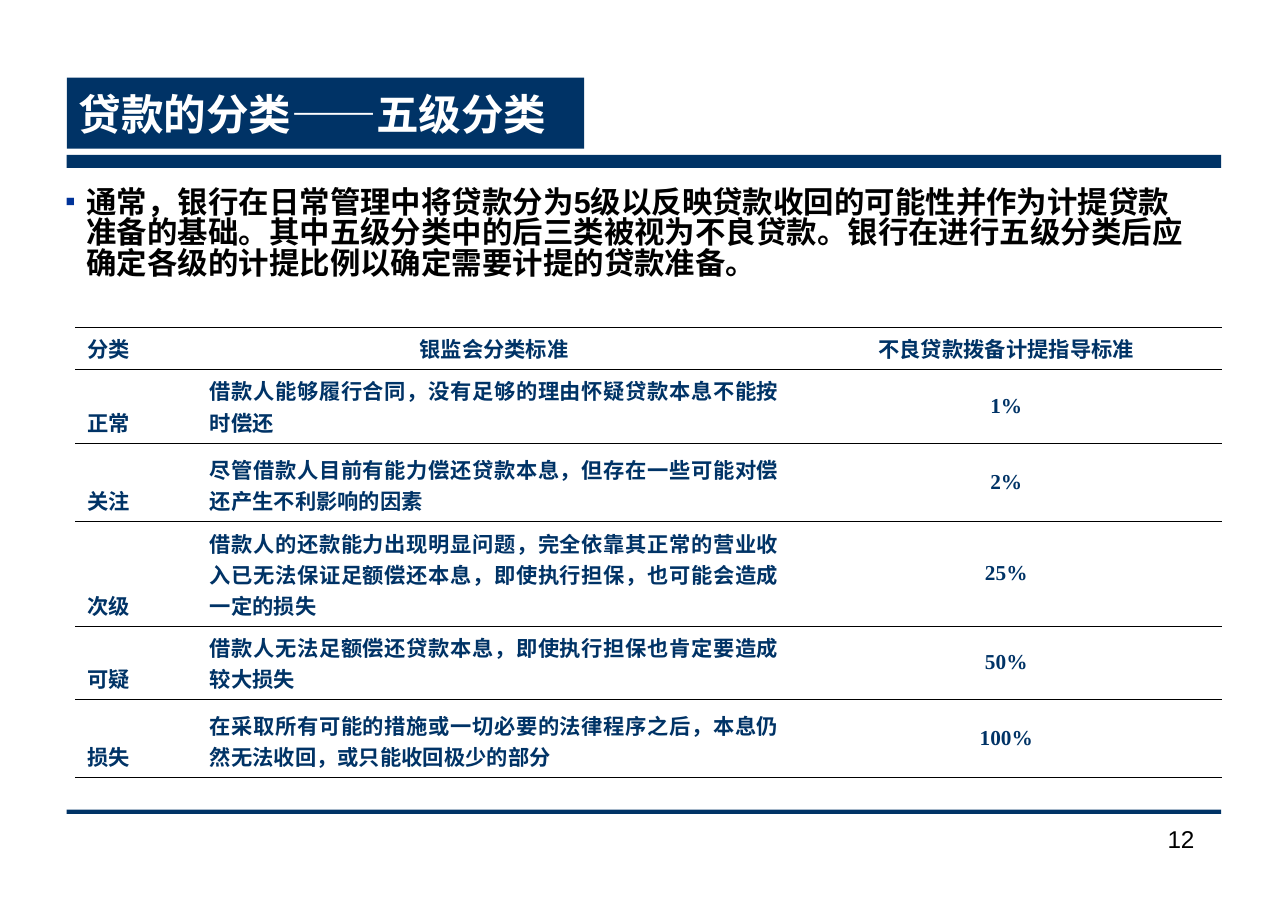
from lxml.etree import SubElement
from pptx import Presentation
from pptx.dml.color import RGBColor
from pptx.enum.shapes import MSO_SHAPE
from pptx.enum.text import MSO_ANCHOR, MSO_AUTO_SIZE, PP_ALIGN
from pptx.oxml import parse_xml
from pptx.oxml.ns import nsdecls, qn
from pptx.util import Cm, Pt

NAVY = RGBColor(0x00, 0x33, 0x66)
BLACK = RGBColor(0, 0, 0)
WHITE = RGBColor(255, 255, 255)
CHINESE_FONT = "Noto Sans CJK SC"
LEFT, WIDTH = 1.55, 26.8


def add_text(paragraph, text, size, color, font="Arial", bold=True):
    """Add one formatted run, with the Chinese font for its East Asian text."""
    run = paragraph.add_run()
    run.text = text
    run.font.size = Pt(size)
    run.font.bold = bold
    run.font.color.rgb = color
    run.font.name = font
    SubElement(run._r.get_or_add_rPr(), qn("a:ea"), typeface=CHINESE_FONT)


def set_borders(cell, top, bottom):
    """Rule a cell above and below, in points, and leave its sides open."""
    properties = cell._tc.get_or_add_tcPr()
    for index, (side, width) in enumerate(
            [("lnL", 0), ("lnR", 0), ("lnT", top), ("lnB", bottom)]):
        paint = ('<a:solidFill><a:srgbClr val="000000"/></a:solidFill>'
                 if width else "<a:noFill/>")
        properties.insert(index, parse_xml(
            f'<a:{side} {nsdecls("a")} w="{Pt(width)}">{paint}</a:{side}>'))


presentation = Presentation()
presentation.slide_width = Cm(29.9)
presentation.slide_height = Cm(21.2)
slide = presentation.slides.add_slide(presentation.slide_layouts[1])

# Rules below the title and above the page number
for top, height in [(3.6, 0.3), (18.8, 0.1)]:
    rule = slide.shapes.add_shape(
        MSO_SHAPE.RECTANGLE, Cm(LEFT), Cm(top), Cm(WIDTH), Cm(height))
    rule.shadow.inherit = False
    rule.fill.solid()
    rule.fill.fore_color.rgb = NAVY
    rule.line.fill.background()

# Title, body and page number share their frame settings
title = slide.shapes.title
body = slide.placeholders[1]
page_number = slide.shapes.add_textbox(0, 0, 0, 0)
for shape, left, top, width, height, anchor in [
    (title, LEFT, 1.8, 12.01, 1.65, MSO_ANCHOR.MIDDLE),
    (body, 1.25, 4.25, WIDTH, 3.1, MSO_ANCHOR.TOP),
    (page_number, 25.75, 19, 2.26, 1.47, MSO_ANCHOR.TOP),
]:
    shape.left, shape.top = Cm(left), Cm(top)
    shape.width, shape.height = Cm(width), Cm(height)
    frame = shape.text_frame
    frame.word_wrap = True
    frame.auto_size = MSO_AUTO_SIZE.NONE
    frame.vertical_anchor = anchor
    frame.margin_left = frame.margin_right = Cm(0.28)
    frame.margin_top = frame.margin_bottom = Cm(0.15)

title.fill.solid()
title.fill.fore_color.rgb = NAVY
heading = title.text_frame.paragraphs[0]
heading.alignment = PP_ALIGN.LEFT
add_text(heading, "贷款的分类——五级分类", 28, WHITE)

summary = body.text_frame.paragraphs[0]
summary.line_spacing = 0.83
summary.space_before = Pt(5)
bullet = summary._p.get_or_add_pPr()
bullet.set("marL", str(Cm(0.48)))
bullet.set("indent", str(-Cm(0.48)))
SubElement(SubElement(bullet, qn("a:buClr")), qn("a:srgbClr"), val="003399")
SubElement(bullet, qn("a:buSzPct"), val="50000")
SubElement(bullet, qn("a:buFont"), typeface="Arial")
SubElement(bullet, qn("a:buChar"), char="■")
add_text(
    summary,
    "通常，银行在日常管理中将贷款分为5级以反映贷款收回的可能性并作为计提贷款"
    "准备的基础。其中五级分类中的后三类被视为不良贷款。银行在进行五级分类后应"
    "确定各级的计提比例以确定需要计提的贷款准备。",
    20, BLACK)

number = page_number.text_frame.paragraphs[0]
number.alignment = PP_ALIGN.RIGHT
add_text(number, "12", 16, BLACK, bold=False)

# Loan grades
GRADES = [
    ("分类", "银监会分类标准", "不良贷款拨备计提指导标准"),
    ("正常", "借款人能够履行合同，没有足够的理由怀疑贷款本息不能按时偿还", "1%"),
    ("关注", "尽管借款人目前有能力偿还贷款本息，但存在一些可能对偿还产生不利影响的因素",
     "2%"),
    ("次级", "借款人的还款能力出现明显问题，完全依靠其正常的营业收入已无法保证足额"
     "偿还本息，即使执行担保，也可能会造成一定的损失", "25%"),
    ("可疑", "借款人无法足额偿还贷款本息，即使执行担保也肯定要造成较大损失", "50%"),
    ("损失", "在采取所有可能的措施或一切必要的法律程序之后，本息仍然无法收回，"
     "或只能收回极少的部分", "100%"),
]
COLUMN_WIDTHS = [2.84, 13.76, 10.02]
ROW_HEIGHTS = [0.98, 1.7, 1.83, 2.42, 1.7, 1.82]

table = slide.shapes.add_table(
    len(GRADES), len(COLUMN_WIDTHS), Cm(1.75), Cm(7.6),
    Cm(sum(COLUMN_WIDTHS)), Cm(sum(ROW_HEIGHTS))).table
table.first_row = table.horz_banding = False
for column, width in zip(table.columns, COLUMN_WIDTHS):
    column.width = Cm(width)
for row, height in zip(table.rows, ROW_HEIGHTS):
    row.height = Cm(height)

last_row = len(GRADES) - 1
for row_index, grade in enumerate(GRADES):
    for column_index, text in enumerate(grade):
        is_header = row_index == 0
        is_rate = column_index == 2 and not is_header
        cell = table.cell(row_index, column_index)
        cell.fill.solid()
        cell.fill.fore_color.rgb = WHITE
        set_borders(cell, 0.74 if is_header else 0.45,
                    0.74 if row_index == last_row else 0.45)
        cell.margin_left = cell.margin_right = Cm(0.28)
        cell.margin_top = cell.margin_bottom = Cm(0.13)
        cell.vertical_anchor = MSO_ANCHOR.MIDDLE if is_rate else MSO_ANCHOR.BOTTOM
        paragraph = cell.text_frame.paragraphs[0]
        if column_index == 0:
            paragraph.alignment = PP_ALIGN.LEFT
        elif is_header or is_rate:
            paragraph.alignment = PP_ALIGN.CENTER
        else:
            paragraph.alignment = PP_ALIGN.JUSTIFY
        add_text(paragraph, text, 14, NAVY,
                 "Times New Roman" if is_rate else CHINESE_FONT)

presentation.save("out.pptx")
